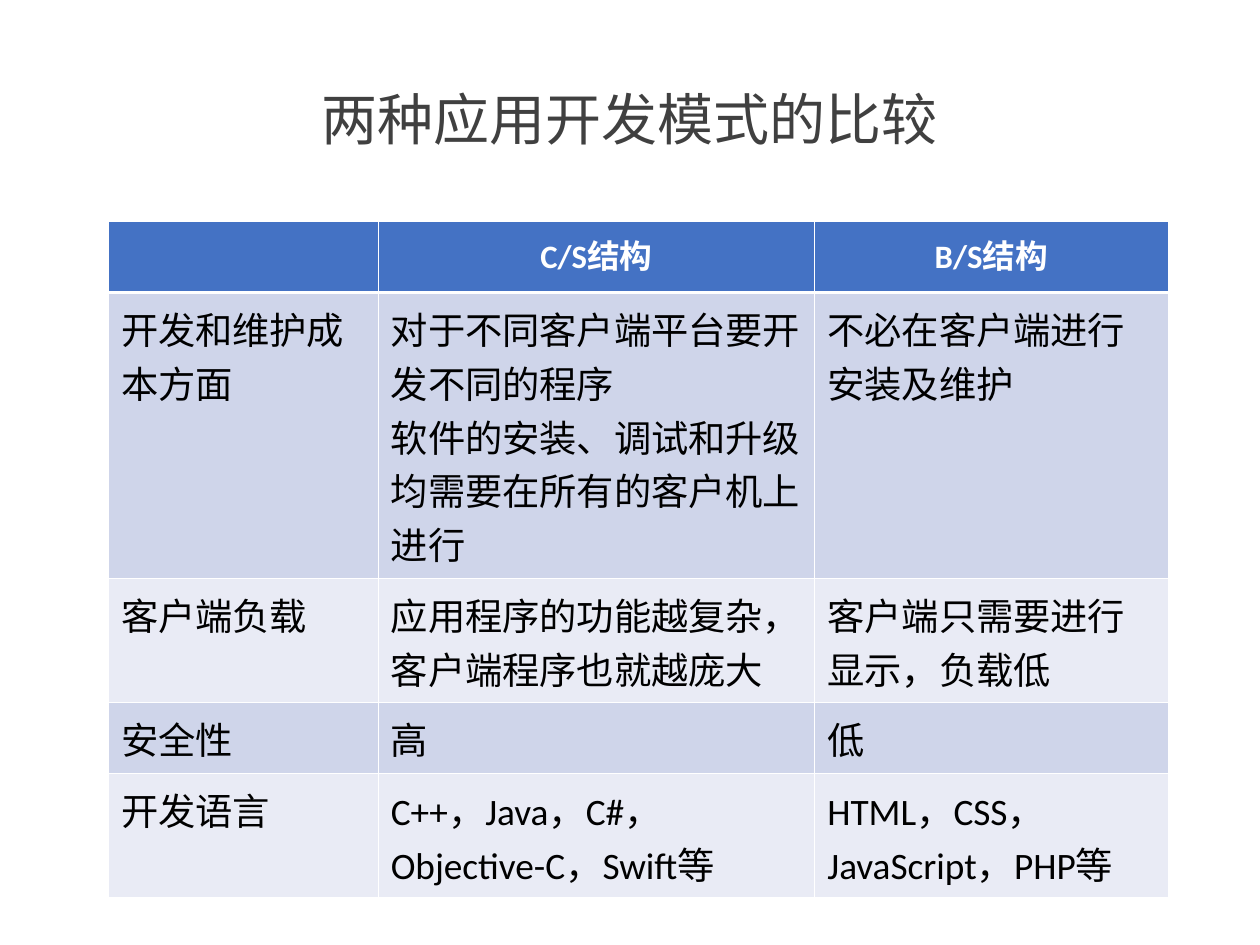
from lxml import etree
from pptx import Presentation
from pptx.dml.color import RGBColor
from pptx.enum.text import MSO_ANCHOR, PP_ALIGN
from pptx.oxml.ns import qn
from pptx.util import Cm, Pt

CENTER, LEFT = PP_ALIGN.CENTER, PP_ALIGN.LEFT
MIDDLE = MSO_ANCHOR.MIDDLE
WHITE = RGBColor(0xFF, 0xFF, 0xFF)
BLACK = RGBColor(0x00, 0x00, 0x00)
GRAY = RGBColor(0x40, 0x40, 0x40)
BLUE = RGBColor(0x44, 0x72, 0xC4)
BAND_DARK = RGBColor(0xCF, 0xD5, 0xEA)
BAND_LIGHT = RGBColor(0xE9, 0xEB, 0xF5)
LATIN_FONT, CJK_FONT = "Calibri", "Noto Sans CJK SC"

COL_WIDTHS = [4.08, 6.6, 5.34]
ROW_HEIGHTS = [1.08, 4.32, 1.88, 1.07, 1.87]
ROWS = [
    ["", "C/S结构", "B/S结构"],
    ["开发和维护成本方面",
     "对于不同客户端平台要开发不同的程序\n软件的安装、调试和升级均需要在所有的客户机上进行",
     "不必在客户端进行安装及维护"],
    ["客户端负载", "应用程序的功能越复杂，客户端程序也就越庞大", "客户端只需要进行显示，负载低"],
    ["安全性", "高", "低"],
    ["开发语言", "C++，Java，C#，Objective-C，Swift等", "HTML，CSS，JavaScript，PHP等"],
]


def format_text(tf, latin, size, color, bold, align):
    for p in tf.paragraphs:
        p.alignment = align
        for r in p.runs:
            r.font.name = latin
            r.font.size = Pt(size)
            r.font.bold = bold
            r.font.color.rgb = color
            ea = etree.SubElement(r.font._element, qn("a:ea"))
            ea.set("typeface", CJK_FONT)


def add_border(cell, side, width):
    """Draw a white border on one side (L, R, T or B); call before filling."""
    ln = etree.SubElement(cell._tc.get_or_add_tcPr(), qn(f"a:ln{side}"), w=str(Pt(width)))
    fill = etree.SubElement(ln, qn("a:solidFill"))
    etree.SubElement(fill, qn("a:srgbClr"), val=str(WHITE))


prs = Presentation()
prs.slide_width, prs.slide_height = Cm(19.05), Cm(14.29)
s = prs.slides.add_slide(prs.slide_layouts[6])

title = s.shapes.add_textbox(Cm(1.31), Cm(0.76), Cm(16.43), Cm(2.18))
tf = title.text_frame
tf.word_wrap = True
tf.vertical_anchor = MIDDLE
tf.text = "两种应用开发模式的比较"
tf.paragraphs[0].line_spacing = 0.9
format_text(tf, CJK_FONT, 24, GRAY, False, CENTER)

table = s.shapes.add_table(len(ROWS), len(COL_WIDTHS), Cm(1.64), Cm(3.35),
                           Cm(sum(COL_WIDTHS)), Cm(sum(ROW_HEIGHTS))).table
for column, width in zip(table.columns, COL_WIDTHS):
    column.width = Cm(width)
for row, height in zip(table.rows, ROW_HEIGHTS):
    row.height = Cm(height)

for i, texts in enumerate(ROWS):
    header = i == 0
    band = BLUE if header else BAND_DARK if i % 2 else BAND_LIGHT
    for j, text in enumerate(texts):
        cell = table.cell(i, j)
        cell.margin_left = cell.margin_right = Cm(0.19)
        cell.margin_top = cell.margin_bottom = Cm(0.13)
        add_border(cell, "L", 0.45)
        add_border(cell, "R", 0.45)
        add_border(cell, "T", 1.47 if i == 1 else 0.45)
        add_border(cell, "B", 1.47 if header else 0.45)
        cell.fill.solid()
        cell.fill.fore_color.rgb = band
        cell.text_frame.text = text
        if header:
            format_text(cell.text_frame, LATIN_FONT, 14, WHITE, True, CENTER)
        else:
            format_text(cell.text_frame, LATIN_FONT, 16, BLACK, False, LEFT)

prs.save("out.pptx")
